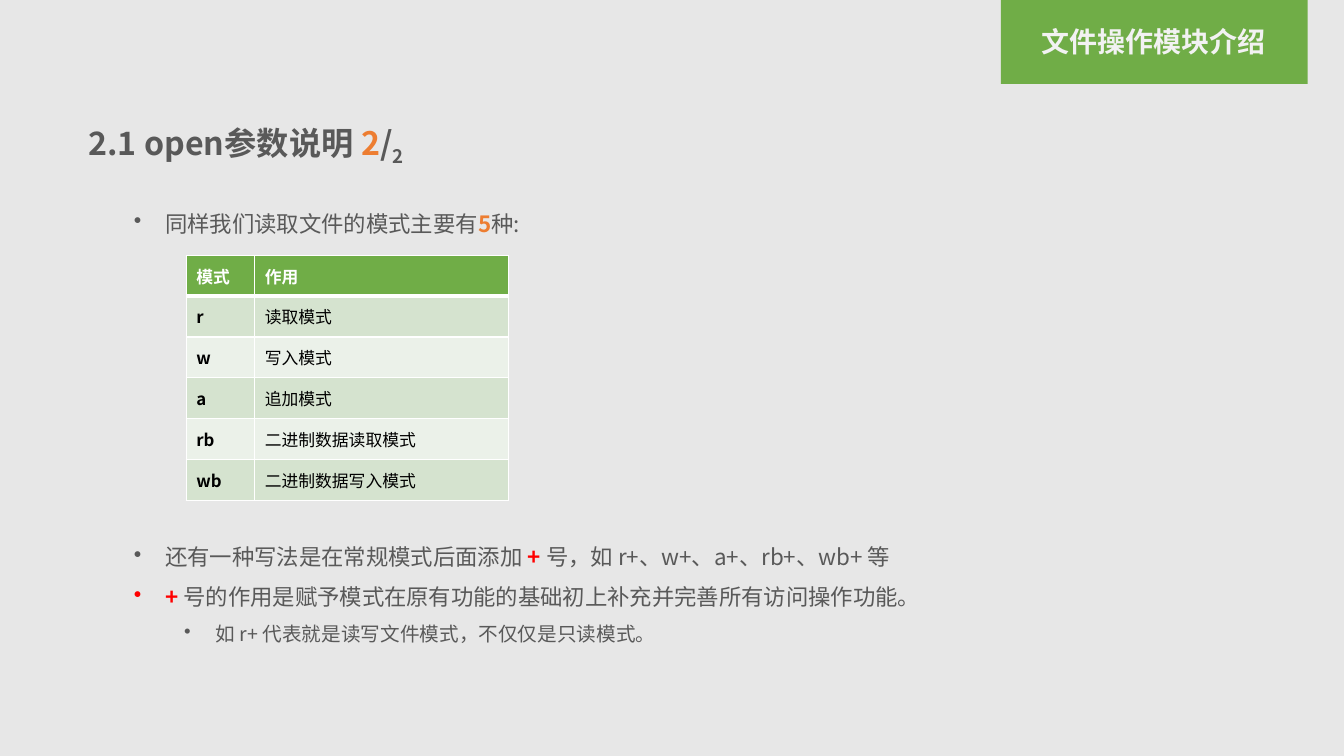
import pptx
import pptx.util
import pptx.dml.color
import pptx.enum.text
import pptx.enum.shapes
import pptx.oxml
import pptx.oxml.ns

Pt = pptx.util.Pt
MSO = pptx.enum.text.MSO_ANCHOR
ALIGN = pptx.enum.text.PP_ALIGN
FACE = "Noto Sans CJK SC"
GREEN, GREY, ORANGE, RED, WHITE = "70AD47", "595959", "ED7D31", "FF0000", "FFFFFF"
BANDS = ["D5E3CF", "EBF1E9"]


def tint(text):
    """Turn a hex string into a colour."""
    return pptx.dml.color.RGBColor.from_string(text)


def node(parent, tag, **attrs):
    """Add a drawing element with its attributes."""
    item = parent.makeelement(pptx.oxml.ns.qn("a:" + tag), attrs)
    parent.append(item)
    return item


def style(font, size, color, bold=False):
    """Set face, size, colour and weight of a font."""
    font.name, font.size, font.bold = FACE, Pt(size), bold
    font.color.rgb = tint(color)
    node(font._element, "ea", typeface=FACE)


def write(para, parts, size):
    """Fill a paragraph with (text, colour, bold) parts."""
    if len(parts) == 1:
        para.text = parts[0][0]
        style(para.font, size, *parts[0][1:])
        return
    for text, color, bold in parts:
        run = para.add_run()
        run.text = text
        style(run.font, size, color, bold)


def bullet(para, indent):
    """Give a paragraph a hanging bullet and wide lines."""
    para.line_spacing = 1.5
    props = para._p.get_or_add_pPr()
    props.set("marL", str(Pt(indent)))
    props.set("indent", str(Pt(-22.5)))
    mark = props.makeelement(pptx.oxml.ns.qn("a:buChar"), {"char": "•"})
    rest = props.find(pptx.oxml.ns.qn("a:defRPr"))
    if rest is None:
        props.append(mark)
    else:
        rest.addprevious(mark)


def frame(slide, box):
    """Add a wrapping text box and return its text frame."""
    text = slide.shapes.add_textbox(*map(Pt, box)).text_frame
    text.word_wrap = True
    return text


def banner(slide, box):
    """Draw the green tab with the chapter name."""
    left, top, width, height = box
    tab = slide.shapes.add_shape(
        pptx.enum.shapes.MSO_SHAPE.RECTANGLE, *map(Pt, box))
    tab.shadow.inherit = False
    tab.fill.solid()
    tab.fill.fore_color.rgb = tint(GREEN)
    tab.line.fill.background()
    para = frame(slide, (left + 1, top + 16.5, width - 3, 30)).paragraphs[0]
    para.alignment = ALIGN.CENTER
    para.line_spacing, para.space_before = 0.9, Pt(10)
    write(para, [("文件操作模块介绍", "F2F2F2", True)], 20)


def heading(slide, box):
    """Place the title with its page count."""
    title = slide.shapes.title
    title.left, title.top, title.width, title.height = map(Pt, box)
    text = title.text_frame
    text.auto_size = pptx.enum.text.MSO_AUTO_SIZE.NONE
    text.vertical_anchor = MSO.MIDDLE
    para = text.paragraphs[0]
    para.alignment = ALIGN.LEFT
    write(para, [("2.1 open参数说明 ", GREY, True), ("2", ORANGE, True),
                 ("/", GREY, True), ("2", GREY, True)], 23)
    para.runs[-1].font._element.set("baseline", "-25000")


def points(slide, box, items):
    """Write bulleted items given as (level, parts)."""
    text = frame(slide, box)
    for i, (level, parts) in enumerate(items):
        para = text.add_paragraph() if i else text.paragraphs[0]
        para.level = level
        write(para, parts, 16 - 2 * level)
        bullet(para, 22.5 + 36 * level)


def edge(cell, head):
    """Rule a cell in white, heavier below the head."""
    props = cell._tc.get_or_add_tcPr()
    for side in "LRTB":
        wide = 3 if head and side == "B" else 1
        line = node(props, "ln" + side, w=str(Pt(wide)))
        node(node(line, "solidFill"), "srgbClr", val=WHITE)


def modes(slide, box):
    """Build the table of file modes."""
    rows = [("模式", "作用"), ("r", "读取模式"), ("w", "写入模式"),
            ("a", "追加模式"), ("rb", "二进制数据读取模式"),
            ("wb", "二进制数据写入模式")]
    table = slide.shapes.add_table(len(rows), 2, *map(Pt, box)).table
    table.horz_banding = False
    table.columns[0].width = Pt(49)
    table.columns[1].width = Pt(box[2] - 49)
    for r, row in enumerate(rows):
        table.rows[r].height = Pt(box[3] / len(rows))
        for c, text in enumerate(row):
            cell = table.cell(r, c)
            cell.vertical_anchor = MSO.MIDDLE
            edge(cell, r == 0)
            cell.fill.solid()
            cell.fill.fore_color.rgb = tint(BANDS[(r - 1) % 2] if r else GREEN)
            write(cell.text_frame.paragraphs[0],
                  [(text, "000000" if r else WHITE, r == 0 or c == 0)], 12)


def build():
    """Make the slide and save it."""
    deck = pptx.Presentation()
    deck.slide_width, deck.slide_height = Pt(960), Pt(540)
    slide = deck.slides.add_slide(deck.slide_layouts[5])
    slide.background.fill.solid()
    slide.background.fill.fore_color.rgb = tint("E7E7E7")
    banner(slide, (715, 0, 219, 60))
    heading(slide, (56, 72, 480, 64))
    points(slide, (88.5, 137, 736, 36), [
        (0, [("同样我们读取文件的模式主要有", GREY, False),
             ("5", ORANGE, True), ("种:", GREY, False)])])
    modes(slide, (133, 182.5, 230.5, 175))
    points(slide, (88.5, 375, 736, 91), [
        (0, [("还有一种写法是在常规模式后面添加 ", GREY, False),
             ("+ ", RED, True),
             ("号，如 r+、w+、a+、rb+、wb+ 等", GREY, False)]),
        (0, [("+ ", RED, True),
             ("号的作用是赋予模式在原有功能的基础初上补充并完善所有访问操作功能。",
              GREY, False)]),
        (1, [("如 r+ 代表就是读写文件模式，不仅仅是只读模式。", GREY, False)])])
    deck.save("out.pptx")


build()
